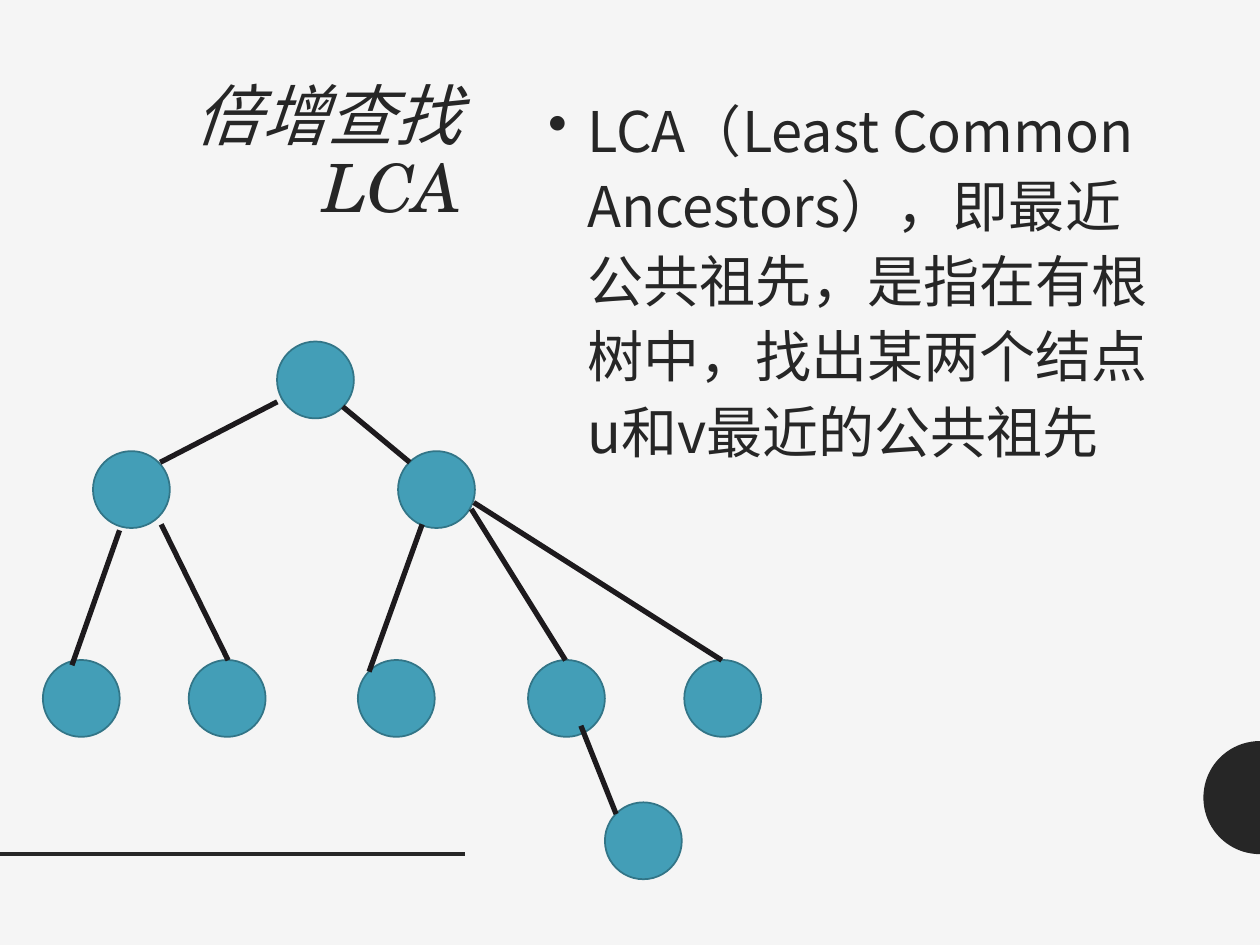
from math import cos, pi, sin

from lxml.etree import SubElement
from pptx import Presentation
from pptx.dml.color import RGBColor
from pptx.enum.shapes import MSO_CONNECTOR, MSO_SHAPE
from pptx.enum.text import MSO_ANCHOR, MSO_AUTO_SIZE, PP_ALIGN
from pptx.oxml.ns import qn
from pptx.util import Cm, Pt

INK = "262626"
NODE_SIZE = 1.55
LEAF_Y = 14.08


def color(target, value):
    """Give a fill, line or font the hex colour."""
    if hasattr(target, "solid"):
        target.solid()
        target.fore_color.rgb = RGBColor.from_string(value)
    elif hasattr(target, "fill") and hasattr(target, "width"):
        color(target.fill, value)
    else:
        target.color.rgb = RGBColor.from_string(value)


def draw_line(start, end, value, width):
    line = page.shapes.add_connector(
        MSO_CONNECTOR.STRAIGHT, *[Cm(n) for n in (*start, *end)])
    color(line.line, value)
    line.line.width = Pt(width)
    SubElement(line._element.spPr, qn("a:effectLst"))


deck = Presentation()
deck.slide_width, deck.slide_height = Cm(25.4), Cm(19.05)
page = deck.slides.add_slide(deck.slide_layouts[5])
color(page.background.fill, "F5F5F5")

# Half disc on the right edge and rule at the lower left
center_x, center_y, radius = 25.4, 16.08, 1.14
arc = [(Cm(center_x - radius * sin(pi * step / 40)),
        Cm(center_y - radius * cos(pi * step / 40))) for step in range(41)]
builder = page.shapes.build_freeform(*arc[0])
builder.add_line_segments(arc[1:], close=True)
half_disc = builder.convert_to_shape()
half_disc.shadow.inherit = False
color(half_disc.fill, INK)
half_disc.line.fill.background()
draw_line((0, 17.22), (9.37, 17.22), INK, 2)

# Title and definition
title = page.shapes.title
definition = page.shapes.add_textbox(0, 0, 0, 0)
texts = [
    (title, "倍增查找LCA", (1.57, 1.55, 7.98, 13.77),
     {"alignment": PP_ALIGN.RIGHT, "line_spacing": 0.9},
     {"name": "TeX Gyre Schola", "size": Pt(38), "italic": True}),
    (definition,
     "LCA（Least Common Ancestors），即最近公共祖先，"
     "是指在有根树中，找出某两个结点u和v最近的公共祖先",
     (10.8, 1.65, 13, 15.7),
     {"line_spacing": 1.12, "space_before": Pt(9)},
     {"name": "Noto Sans CJK SC", "size": Pt(32)}),
]
for box, words, place, para_format, font_format in texts:
    for name, value in zip(("left", "top", "width", "height"), place):
        setattr(box, name, Cm(value))
    frame = box.text_frame
    frame.word_wrap = True
    frame.auto_size = MSO_AUTO_SIZE.NONE
    frame.vertical_anchor = MSO_ANCHOR.TOP
    para = frame.paragraphs[0]
    for name, value in para_format.items():
        setattr(para, name, value)
    span = para.add_run()
    span.text = words
    for name, value in font_format.items():
        setattr(span.font, name, value)
    color(span.font, INK)
    SubElement(span.font._element, qn("a:ea"), typeface="Noto Sans CJK SC")

bullet_format = definition.text_frame.paragraphs[0]._p.get_or_add_pPr()
bullet_format.set("marL", str(Cm(0.79)))
bullet_format.set("indent", str(-Cm(0.79)))
SubElement(bullet_format, qn("a:buChar"), char="•")

# Tree nodes, by centre
nodes = [(6.36, 7.66), (2.65, 9.87), (8.8, 9.87), (12.97, 16.95)]
nodes += [(x, LEAF_Y) for x in (1.64, 4.58, 7.99, 11.42, 14.57)]
for x, y in nodes:
    node = page.shapes.add_shape(
        MSO_SHAPE.OVAL, Cm(x - NODE_SIZE / 2), Cm(y - NODE_SIZE / 2),
        Cm(NODE_SIZE), Cm(NODE_SIZE))
    node.shadow.inherit = False
    color(node.fill, "439EB7")
    color(node.line, "327587")
    node.line.width = Pt(1)

# Tree edges, parent end first
edges = [
    ((5.59, 8.1), (3.23, 9.32)),
    ((6.91, 8.2), (8.26, 9.32)),
    ((2.41, 10.69), (1.45, 13.41)),
    ((3.25, 10.57), (4.6, 13.31)),
    ((8.51, 10.57), (7.44, 13.54)),
    ((9.5, 10.26), (11.4, 13.31)),
    ((9.55, 10.13), (14.55, 13.31)),
    ((11.71, 14.63), (12.42, 16.41)),
]
for parent_end, child_end in edges:
    draw_line(parent_end, child_end, "1D1A1D", 3)

deck.save("out.pptx")
